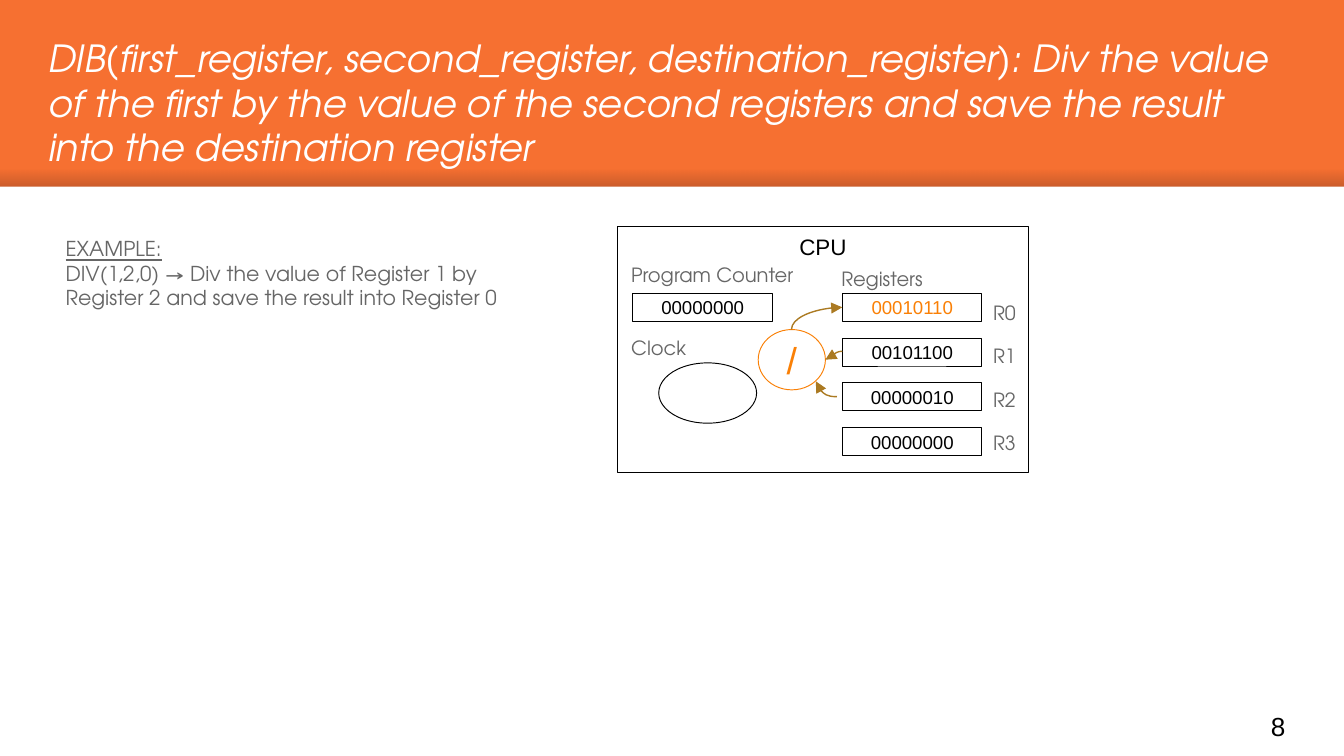
from lxml.etree import SubElement
from pptx import Presentation
from pptx.dml.color import RGBColor
from pptx.enum.shapes import MSO_CONNECTOR, MSO_SHAPE
from pptx.enum.text import MSO_ANCHOR, MSO_AUTO_SIZE, PP_ALIGN
from pptx.oxml.ns import qn
from pptx.util import Cm, Pt

ORANGE = RGBColor(0xF6, 0x70, 0x31)
ACCENT = RGBColor(0xFA, 0x80, 0x06)
BROWN = RGBColor(0xAB, 0x7A, 0x22)
GRAY = RGBColor(0x66, 0x66, 0x66)
NAVY = RGBColor(0x00, 0x00, 0x14)
BLACK = RGBColor(0, 0, 0)
WHITE = RGBColor(0xFF, 0xFF, 0xFF)

HEAD_FONT = "TeX Gyre Adventor"
UNDERSCORE_FONT = "Noto Sans CJK SC"
BODY_FONT = "Arial"

TITLE = (
    "DIB(first_register, second_register, destination_register): "
    "Div the value of the first by the value of the second registers "
    "and save the result into the destination register"
)
REGISTERS = ["00010110", "00101100", "00000010", "00000000"]
REGISTER_LEFT, REGISTER_TOP, REGISTER_STEP = 15.92, 5.54, 0.85
LABEL_TOP, LABEL_STEP = 5.56, 0.82


def add_run(p, text, size=10.5, color=GRAY, font=HEAD_FONT, italic=False, underline=False):
    r = p.add_run()
    r.text = text
    r.font.name = font
    r.font.size = Pt(size)
    r.font.color.rgb = color
    r.font.italic = italic
    r.font.underline = underline


def place(sp, left, top, width, height):
    sp.left, sp.top, sp.width, sp.height = Cm(left), Cm(top), Cm(width), Cm(height)


def set_insets(tf, inset):
    tf.margin_left = tf.margin_right = tf.margin_top = tf.margin_bottom = Cm(inset)


def add_title(s):
    sp = s.shapes.title
    place(sp, 0.66, 0.41, 23.65, 2.97)
    tf = sp.text_frame
    tf.word_wrap = True
    tf.auto_size = MSO_AUTO_SIZE.NONE
    tf.vertical_anchor = MSO_ANCHOR.TOP
    set_insets(tf, 0.25)
    p = tf.paragraphs[0]
    p.alignment = PP_ALIGN.LEFT
    for i, part in enumerate(TITLE.split("_")):
        if i:
            add_run(p, "_", 20, WHITE, UNDERSCORE_FONT, italic=True)
        add_run(p, part, 20, WHITE, italic=True)


def add_text(s, text, left, top, width, height=0.74, **fmt):
    tf = s.shapes.add_textbox(Cm(left), Cm(top), Cm(width), Cm(height)).text_frame
    tf.word_wrap = True
    add_run(tf.paragraphs[0], text, **fmt)
    return tf


def add_box(s, left, top, width, height, text="", shape=MSO_SHAPE.RECTANGLE,
            line=BLACK, anchor=MSO_ANCHOR.MIDDLE, **fmt):
    """Add a white shape with centred text; line=None leaves out the outline."""
    sp = s.shapes.add_shape(shape, Cm(left), Cm(top), Cm(width), Cm(height))
    sp.shadow.inherit = False
    sp.fill.solid()
    sp.fill.fore_color.rgb = WHITE
    if line is None:
        sp.line.fill.background()
    else:
        sp.line.color.rgb = line
        sp.line.width = Pt(0.5)
    if text:
        tf = sp.text_frame
        tf.word_wrap = True
        tf.vertical_anchor = anchor
        p = tf.paragraphs[0]
        p.alignment = PP_ALIGN.CENTER
        add_run(p, text, font=BODY_FONT, **fmt)
    return sp


def add_register(s, left, top, value, color=BLACK):
    add_box(s, left, top, 2.64, 0.53, value, size=10, color=color)


def add_header_shade(s):
    """Add the strip that darkens towards the lower edge of the header."""
    sp = add_box(s, 0, 3.21, 25.4, 0.31, line=None)
    sp.fill.gradient()
    sp.fill.gradient_angle = 270
    for stop, color_el, alpha in zip(sp.fill.gradient_stops,
                                     sp.fill._fill._gradFill.iter(qn("a:gs")), (0, 20000)):
        stop.color.rgb = NAVY
        SubElement(color_el[0], qn("a:alpha"), val=str(alpha))


def add_curve(s, start, end, preset="curvedConnector2", arrow="a:tailEnd"):
    """Add a curved arrow; a:headEnd puts the arrowhead at the start."""
    c = s.shapes.add_connector(MSO_CONNECTOR.CURVE, *map(Cm, start + end))
    c.line.color.rgb = BROWN
    c.line.width = Pt(0.75)
    sp_pr = c._element.spPr
    sp_pr.find(qn("a:prstGeom")).set("prst", preset)
    SubElement(sp_pr.find(qn("a:ln")), qn(arrow), type="triangle")
    SubElement(sp_pr, qn("a:effectLst"))


def add_cpu(s):
    add_box(s, 11.68, 4.29, 7.75, 4.65, "CPU", anchor=MSO_ANCHOR.TOP, size=12, color=BLACK)
    add_text(s, "Program Counter", 11.68, 4.85, 4.09)
    add_register(s, 11.96, REGISTER_TOP, "00000000")
    add_text(s, "Clock", 11.68, 6.22, 4.09)
    add_box(s, 12.45, 6.86, 1.85, 1.14, shape=MSO_SHAPE.OVAL)

    add_text(s, "Registers", 15.65, 4.93, 4.09)
    for i, value in enumerate(REGISTERS):
        color = ACCENT if i == 0 else BLACK
        add_register(s, REGISTER_LEFT, REGISTER_TOP + i * REGISTER_STEP, value, color)
        add_text(s, f"R{i}", 18.52, LABEL_TOP + i * LABEL_STEP, 0.99)

    add_curve(s, (15.82, 7.5), (15.42, 7.21))
    add_box(s, 14.33, 6.23, 1.27, 1.14, "/", MSO_SHAPE.OVAL, ACCENT, size=20, color=ACCENT)
    add_curve(s, (REGISTER_LEFT, 6.64), (15.6, 6.8), preset="curvedConnector3")
    add_curve(s, (REGISTER_LEFT, 5.81), (14.96, 6.23), arrow="a:headEnd")


def add_example(s):
    tf = add_text(s, "EXAMPLE:", 0.99, 4.34, 9.09, 2.18, size=11, underline=True)
    add_run(tf.add_paragraph(),
            "DIV(1,2,0) → Div the value of Register 1 by Register 2 "
            "and save the result into Register 0", size=11)


def add_slide_number(s):
    tf = add_text(s, "8", 23.77, 13.18, 1.52, 1.09, size=14, color=BLACK, font=BODY_FONT)
    tf.vertical_anchor = MSO_ANCHOR.MIDDLE
    set_insets(tf, 0.25)


def main():
    prs = Presentation()
    prs.slide_width, prs.slide_height = Cm(25.4), Cm(14.29)
    s = prs.slides.add_slide(prs.slide_layouts[5])
    s.background.fill.solid()
    s.background.fill.fore_color.rgb = ORANGE

    add_header_shade(s)
    add_box(s, 0, 3.53, 25.4, 10.76, line=None)
    add_title(s)
    add_slide_number(s)
    add_cpu(s)
    add_example(s)
    prs.save("out.pptx")


if __name__ == "__main__":
    main()
